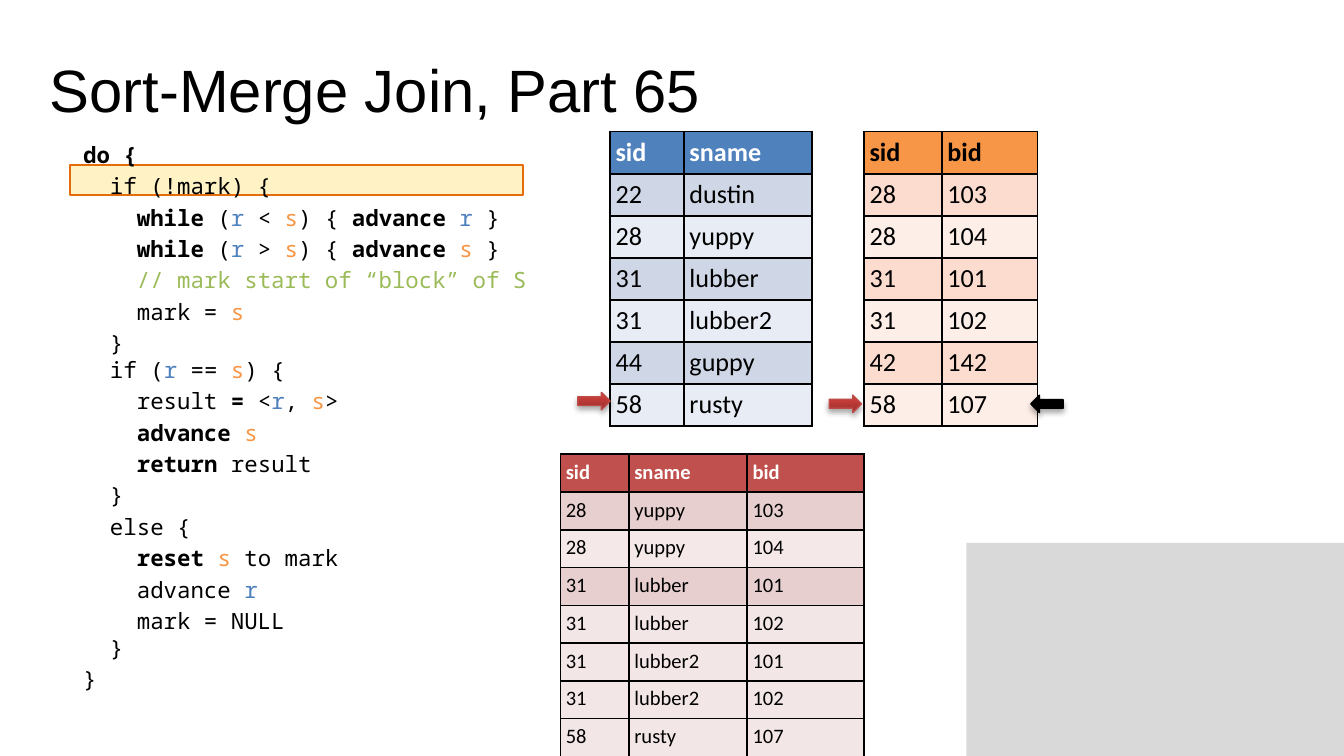
"""Build the Sort-Merge Join slide with its pseudocode, input tables and result table."""
from pptx import Presentation
from pptx.dml.color import RGBColor
from pptx.enum.shapes import MSO_SHAPE
from pptx.enum.text import MSO_ANCHOR, PP_ALIGN
from pptx.oxml import parse_xml
from pptx.oxml.ns import nsdecls
from pptx.util import Inches, Pt

COLORS = {
    "black": "000000", "white": "FFFFFF", "gray": "D9D9D9",
    "highlight": "FFF2C5", "highlight_line": "E46C0A",
    "r": "4F81BD", "s": "F79646", "comment": "9BBB59",
    "blue_dark": "CFD7E7", "blue_light": "E8ECF4",
    "orange_dark": "FCDCCE", "orange_light": "FDEEE8",
    "red": "C0504D", "red_dark": "E8CFCF", "red_light": "F4E8E8", "red_plain": "F3E6E6",
    "arrow_low": "9A2F2C", "arrow_mid": "CA3E3A", "arrow_high": "CE3B37", "arrow_line": "BE4B48",
}


def rgb(name):
    return RGBColor.from_string(COLORS[name])


def add_span(para, text, font_name, size, color="black", bold=False):
    span = para.add_run()
    span.text = text
    span.font.name = font_name
    span.font.size = Pt(size)
    span.font.bold = bold
    span.font.color.rgb = rgb(color)


deck = Presentation()
deck.slide_width = Inches(10)
deck.slide_height = Inches(10) * 9 // 16
page = deck.slides.add_slide(deck.slide_layouts[5])

title = page.shapes.title
title.left, title.top, title.width, title.height = (Inches(v) for v in (0.27, 0.34, 8.23, 1.25))
title.text_frame.vertical_anchor = MSO_ANCHOR.TOP
title.text_frame.paragraphs[0].alignment = PP_ALIGN.LEFT
add_span(title.text_frame.paragraphs[0], "Sort-Merge Join, Part 65", "Arial", 32)

panels = [
    ((7.19, 4.04, 2.81, 1.59), "gray", None),
    ((0.52, 1.23, 3.37, 0.22), "highlight", "highlight_line"),
]
for bounds, fill, line in panels:
    panel = page.shapes.add_shape(MSO_SHAPE.RECTANGLE, *(Inches(v) for v in bounds))
    panel.shadow.inherit = False
    panel.fill.solid()
    panel.fill.fore_color.rgb = rgb(fill)
    if line:
        panel.line.color.rgb = rgb(line)
        panel.line.width = Pt(1)
    else:
        panel.line.fill.background()

blue_bands = ["r"] + ["blue_dark", "blue_light"] * 3
orange_bands = ["s"] + ["orange_dark", "orange_light"] * 3
red_bands = ["red", "red_dark", "red_light", "red_dark"] + ["red_plain"] * 4
tables = [
    ((4.54, 0.98), (0.55, 0.95), 2.19, 14, "white", blue_bands,
     [("sid", "sname"), ("22", "dustin"), ("28", "yuppy"), ("31", "lubber"),
      ("31", "lubber2"), ("44", "guppy"), ("58", "rusty")]),
    ((6.43, 0.98), (0.58, 0.71), 2.19, 14, "black", orange_bands,
     [("sid", "bid"), ("28", "103"), ("28", "104"), ("31", "101"),
      ("31", "102"), ("42", "142"), ("58", "107")]),
    ((4.17, 3.38), (0.51, 0.88, 0.87), 2.25, 11, "white", red_bands,
     [("sid", "sname", "bid"), ("28", "yuppy", "103"), ("28", "yuppy", "104"),
      ("31", "lubber", "101"), ("31", "lubber", "102"), ("31", "lubber2", "101"),
      ("31", "lubber2", "102"), ("58", "rusty", "107")]),
]
for (left, top), widths, height, size, header_color, bands, rows in tables:
    table = page.shapes.add_table(
        len(rows), len(widths), Inches(left), Inches(top),
        Inches(sum(widths)), Inches(height)).table
    for column, width in zip(table.columns, widths):
        column.width = Inches(width)
    for row_index, values in enumerate(rows):
        table.rows[row_index].height = Inches(height) // len(rows)
        for column_index, value in enumerate(values):
            cell = table.cell(row_index, column_index)
            cell.margin_left = cell.margin_right = cell.margin_top = Inches(0.04)
            cell.margin_bottom = Inches(0.03)
            header = row_index == 0
            add_span(cell.text_frame.paragraphs[0], value, "Calibri", size,
                     header_color if header else "black", header)
            properties = cell._tc.get_or_add_tcPr()
            for side in ("lnL", "lnR", "lnT", "lnB"):
                properties.append(parse_xml(
                    f'<a:{side} {nsdecls("a")} w="12700"><a:solidFill>'
                    f'<a:srgbClr val="{COLORS["black"]}"/></a:solidFill></a:{side}>'))
            cell.fill.solid()
            cell.fill.fore_color.rgb = rgb(bands[row_index])

R, S = ("r", "r"), ("s", "s")
code_lines = [
    [("do {", "bold")],
    ["  if (!mark) {"],
    ["    ", ("while", "bold"), " (", R, " < ", S, ") { ", ("advance ", "bold"), R, " }"],
    ["    ", ("while", "bold"), " (", R, " > ", S, ") { ", ("advance ", "bold"), S, " }"],
    ["    ", ("// mark start of “block” of S", "comment")],
    ["    mark = ", S],
    ["  }", "\n", "  if (", R, " == ", S, ") {"],
    ["    result", (" =", "bold"), " <", R, ", ", S, ">"],
    [("    advance ", "bold"), S],
    ["    ", ("return ", "bold"), "result"],
    ["  }"],
    ["  else {"],
    ["    ", ("reset ", "bold"), S, " to mark"],
    ["    advance ", R],
    ["    mark = NULL", "\n", "  }"],
    ["}"],
]
code_box = page.shapes.add_textbox(Inches(0.52), Inches(1), Inches(9.48), Inches(2.86))
code_box.text_frame.word_wrap = True
for index, parts in enumerate(code_lines):
    para = code_box.text_frame.add_paragraph() if index else code_box.text_frame.paragraphs[0]
    para.space_before = Pt(2.4 if index else 0)
    for part in parts:
        text, style = (part, "black") if isinstance(part, str) else part
        if text == "\n":
            para.add_line_break()
        elif style == "bold":
            add_span(para, text, "Noto Sans Mono", 12, bold=True)
        else:
            add_span(para, text, "Noto Sans Mono", 12, style)

stops = "".join(
    f'<a:gs pos="{position}"><a:srgbClr val="{COLORS[name]}"/></a:gs>'
    for position, name in ((0, "arrow_low"), (80000, "arrow_mid"), (100000, "arrow_high")))
for left, top, rotation, line in [
        (4.3, 2.92, 0, "arrow_line"), (6.17, 2.94, 0, "arrow_line"), (7.67, 2.94, 180, "black")]:
    arrow = page.shapes.add_shape(
        MSO_SHAPE.RIGHT_ARROW, Inches(left), Inches(top), Inches(0.24), Inches(0.13))
    arrow.rotation = rotation
    arrow.line.color.rgb = rgb(line)
    arrow.line.width = Pt(0.75)
    if line == "black":
        arrow.fill.solid()
        arrow.fill.fore_color.rgb = rgb("black")
    else:
        arrow._element.spPr.find("{*}prstGeom").addnext(parse_xml(
            f'<a:gradFill {nsdecls("a")}><a:gsLst>{stops}</a:gsLst>'
            '<a:lin ang="16200000" scaled="0"/></a:gradFill>'))
    arrow._element.spPr.append(parse_xml(
        f'<a:effectLst {nsdecls("a")}><a:outerShdw blurRad="{Pt(3)}" dist="{Pt(1.8)}" '
        f'dir="5400000" rotWithShape="0"><a:srgbClr val="{COLORS["black"]}">'
        '<a:alpha val="35000"/></a:srgbClr></a:outerShdw></a:effectLst>'))

deck.save("out.pptx")
